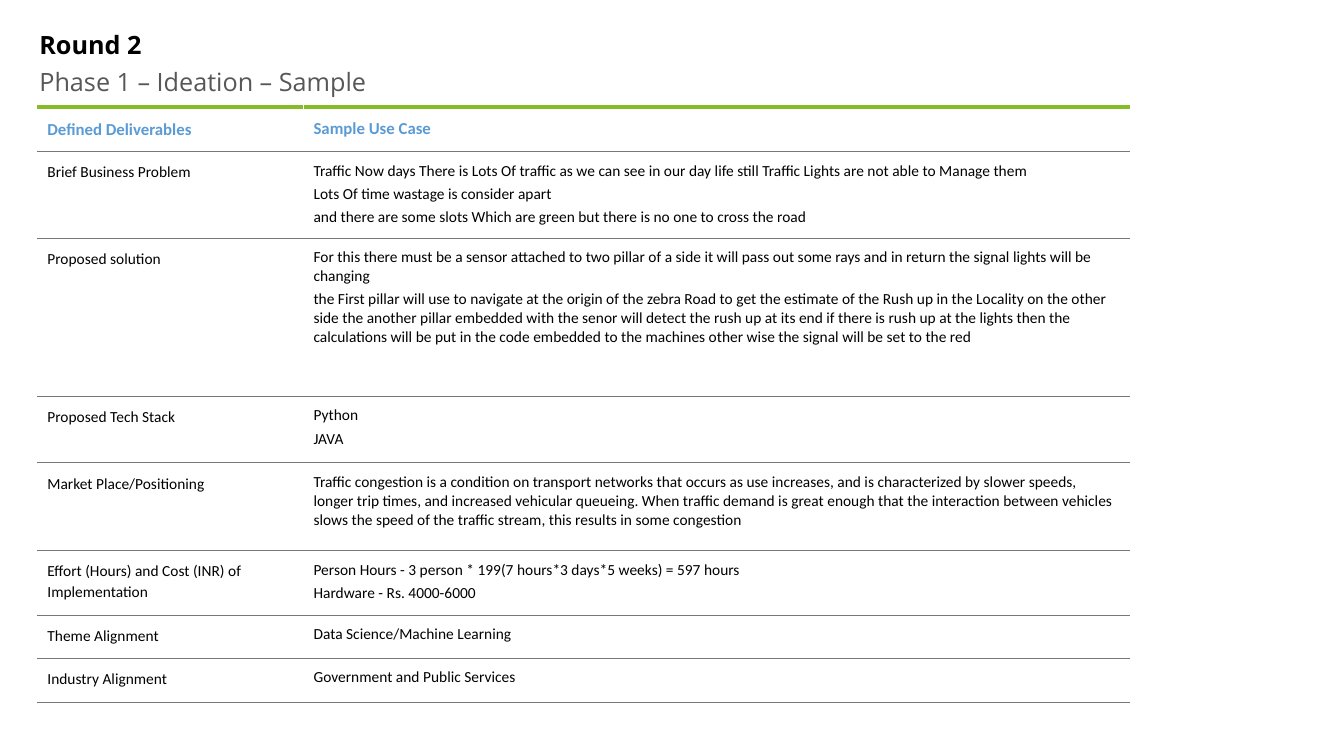
import pptx
import pptx.dml.color
import pptx.enum.text
import pptx.oxml
import pptx.oxml.ns
import pptx.util
from pptx.util import Inches

BLACK, WHITE, GREY = "000000", "FFFFFF", "75787B"
GREEN, BLUE, SLATE = "86BC25", "5B9BD5", "575757"
ANCHOR = pptx.enum.text.MSO_ANCHOR

HEADERS = ("Defined Deliverables", "Sample Use Case")
DELIVERABLES = [
    (0.86, "Brief Business Problem", [
        "Traffic Now days There is Lots Of traffic as we can see in our day life still "
        "Traffic Lights are not able to Manage them",
        "Lots Of time wastage is consider apart",
        "and there are some slots Which are green but there is no one to cross the road"]),
    (1.57, "Proposed solution", [
        "For this there must be a sensor attached to two pillar of a side it will pass out "
        "some rays and in return the signal lights will be changing",
        "the First pillar will use to navigate at the origin of the zebra Road to get the "
        "estimate of the Rush up in the Locality on the other side the another pillar "
        "embedded with the senor will detect the rush up at its end if there is rush up at "
        "the lights then the calculations will be put in the code embedded to the machines "
        "other wise the signal will be set to the red"]),
    (0.66, "Proposed Tech Stack", ["Python", "JAVA"]),
    (0.87, "Market Place/Positioning", [
        "Traffic congestion is a condition on transport networks that occurs as use "
        "increases, and is characterized by slower speeds, longer trip times, and increased "
        "vehicular queueing. When traffic demand is great enough that the interaction "
        "between vehicles slows the speed of the traffic stream, this results in some "
        "congestion"]),
    (0.64, "Effort (Hours) and Cost (INR) of Implementation", [
        "Person Hours - 3 person * 199(7 hours*3 days*5 weeks) = 597 hours",
        "Hardware - Rs. 4000-6000"]),
    (0.43, "Theme Alignment", ["Data Science/Machine Learning"]),
    (0.44, "Industry Alignment", ["Government and Public Services"]),
]


def rgb(value):
    return pptx.dml.color.RGBColor.from_string(value)


def write(frame, lines, size=11, font="Calibri", color=BLACK, bold=False,
          before=0, after=0, spacing=1.0):
    frame.word_wrap = True
    for index, line in enumerate(lines):
        paragraph = frame.add_paragraph() if index else frame.paragraphs[0]
        paragraph.alignment = pptx.enum.text.PP_ALIGN.LEFT
        paragraph.space_before = pptx.util.Pt(before)
        paragraph.space_after = pptx.util.Pt(after)
        paragraph.line_spacing = spacing
        run = paragraph.add_run()
        run.text = line
        run.font.size = pptx.util.Pt(size)
        run.font.name = font
        run.font.bold = bold
        run.font.color.rgb = rgb(color)


def place_heading(placeholder, top, height, text, **style):
    placeholder.left, placeholder.top = Inches(0.39), Inches(top)
    placeholder.width, placeholder.height = Inches(9.16), Inches(height)
    frame = placeholder.text_frame
    frame.margin_left = frame.margin_right = frame.margin_top = frame.margin_bottom = 0
    frame.vertical_anchor = ANCHOR.TOP
    frame.auto_size = pptx.enum.text.MSO_AUTO_SIZE.NONE
    write(frame, [text], size=18, font="Open Sans", **style)


def add_border(cell, side, color=None, width=0):
    if color:
        fill = f'<a:solidFill><a:srgbClr val="{color}"/></a:solidFill>'
    else:
        fill = "<a:noFill/>"
    namespace = pptx.oxml.ns.nsdecls("a")
    line = f'<a:ln{side} {namespace} w="{pptx.util.Pt(width)}">{fill}</a:ln{side}>'
    cell._tc.get_or_add_tcPr().append(pptx.oxml.parse_xml(line))


def fill_cell(cell, lines, borders, anchor=ANCHOR.TOP, **style):
    cell.margin_left = cell.margin_right = Inches(0.1)
    cell.margin_top = cell.margin_bottom = Inches(0.1)
    cell.vertical_anchor = anchor
    for side in "LRTB":
        add_border(cell, side, *borders.get(side, ()))
    cell.fill.solid()
    cell.fill.fore_color.rgb = rgb(WHITE)
    write(cell.text_frame, lines, **style)


def add_deliverables(slide):
    heights = [0.44] + [height for height, _, _ in DELIVERABLES]
    table = slide.shapes.add_table(
        len(heights), 2, Inches(0.37), Inches(1.06), Inches(10.84),
        Inches(sum(heights))).table
    table.first_row = table.horz_banding = False
    for column, width in zip(table.columns, (2.64, 8.2)):
        column.width = Inches(width)
    for row, height in zip(table.rows, heights):
        row.height = Inches(height)

    rule, divider = (GREY, 0.25), (WHITE, 0.5)
    for column, (header, inner, spacing) in enumerate(zip(HEADERS, "RL", (1.1, 1.0))):
        fill_cell(table.cell(0, column), [header],
                  {"T": (GREEN, 3), "B": rule, inner: divider}, anchor=ANCHOR.MIDDLE,
                  size=12, color=BLUE, bold=True, spacing=spacing)
    rules = {"T": rule, "B": rule}
    for row, (_, deliverable, use_case) in enumerate(DELIVERABLES, 1):
        fill_cell(table.cell(row, 0), [deliverable], rules,
                  before=3, after=6, spacing=1.1)
        fill_cell(table.cell(row, 1), use_case, rules, before=3)


def main():
    deck = pptx.Presentation()
    deck.slide_width, deck.slide_height = Inches(13.33), Inches(7.5)
    slide = deck.slides.add_slide(deck.slide_layouts[0])
    title, phase = slide.placeholders
    place_heading(phase, 0.66, 0.4, "Phase 1 – Ideation – Sample", color=SLATE, after=10)
    place_heading(title, 0.29, 0.37, "Round 2", bold=True)
    add_deliverables(slide)
    deck.save("out.pptx")


main()
